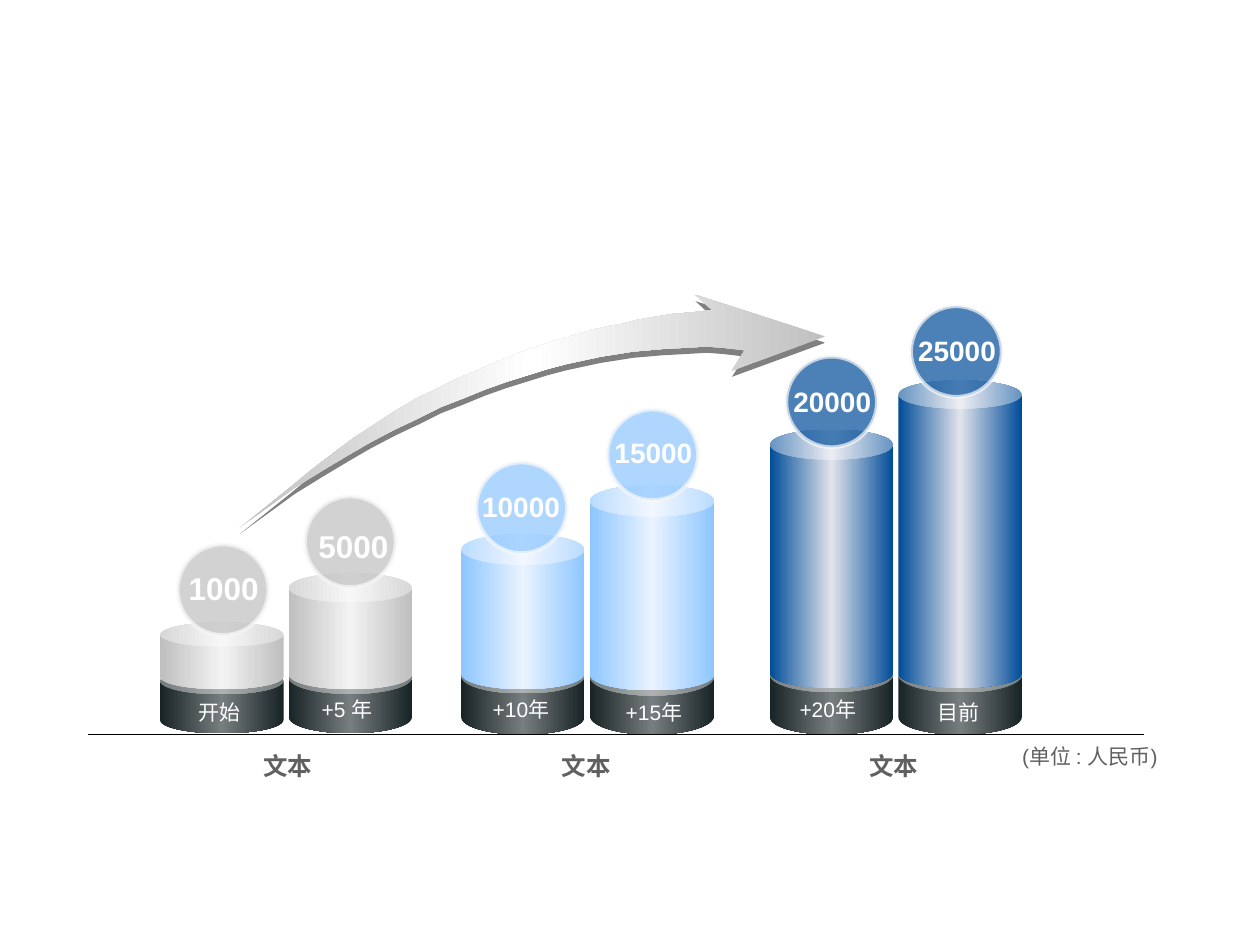
from copy import deepcopy
from lxml import etree
from pptx import Presentation
from pptx import util as u
from pptx.dml.color import RGBColor
from pptx.enum import shapes, text
from pptx.oxml.ns import qn

COLORS = {
    "white": "FFFFFF", "black": "000000", "label": "606060", "ring": "F8F8F8",
    "base": "182326", "base shine": "777E7F",
    "gray": "BFBFBF", "gray shine": "F3F3F3",
    "sky": "8DC6FF", "sky shine": "EAF3FF",
    "navy": "004C99", "navy shine": "E2E4EB",
    "arrow": "C0C0C0", "edge": "808080",
}
INK = {name: RGBColor.from_string(code) for name, code in COLORS.items()}

deck = Presentation()
deck.slide_width, deck.slide_height = u.Inches(10), u.Inches(7.5)
page = deck.slides.add_slide(deck.slide_layouts[6])


def write(words, left, top, width, height, size=12, color="white", bold=False, wrap=True):
    box = page.shapes.add_textbox(*map(u.Inches, (left, top, width, height)))
    box.text_frame.word_wrap = wrap
    box.text_frame.auto_size = text.MSO_AUTO_SIZE.SHAPE_TO_FIT_TEXT
    para = box.text_frame.paragraphs[0]
    para.alignment = text.PP_ALIGN.CENTER
    span = para.add_run()
    span.text = words
    span.font.name, span.font.size, span.font.bold = "Arial", u.Pt(size), bold
    span.font.color.rgb = INK[color]


def shade(shape, side, middle):
    shape.shadow.inherit = False
    shape.line.fill.background()
    shape.fill.gradient()
    shape.fill.gradient_angle = 0
    stops = shape.fill.gradient_stops
    stops[0].color.rgb, stops[1].color.rgb = INK[side], INK[middle]
    stops[0].position, stops[1].position = 0, 0.5
    stop_list = shape._element.spPr.find(".//" + qn("a:gsLst"))
    last = deepcopy(stop_list[0])
    last.set("pos", "100000")
    stop_list.append(last)


# left, width, base (top, height, adj), body (top, height, adj), color
columns = [
    (6.11, 0.98, (5.22, 0.61, 0.449), (3.41, 2.05, 0.243), "navy"),
    (7.13, 0.98, (5.22, 0.61, 0.452), (3.02, 2.44, 0.228), "navy"),
    (3.66, 0.98, (5.23, 0.6, 0.458), (4.24, 1.23, 0.248), "sky"),
    (4.68, 0.99, (5.22, 0.61, 0.493), (3.85, 1.63, 0.253), "sky"),
    (1.27, 0.98, (5.3, 0.52, 0.404), (4.94, 0.53, 0.363), "gray"),
    (2.29, 0.98, (5.25, 0.57, 0.452), (4.55, 0.92, 0.251), "gray"),
]
for left, width, base, body, color in columns:
    for (top, height, curve), tone in ((base, "base"), (body, color)):
        can = page.shapes.add_shape(
            shapes.MSO_SHAPE.CAN, *map(u.Inches, (left, top, width, height)))
        can.adjustments[0] = curve
        shade(can, tone, tone + " shine")

for left in (1.99, 4.36, 6.8):
    write("文本", left, 5.91, 0.59, 0.34, size=14, color="label", bold=True, wrap=False)
write("(单位 : 人民币)", 8, 5.85, 1.3, 0.3, color="label")

periods = [
    ("开始", 1.3, 5.5, 0.88), ("+5 年", 2.31, 5.48, 0.89), ("目前", 7.09, 5.5, 1.04),
    ("+10年", 3.63, 5.48, 1.01), ("+15年", 4.69, 5.5, 1), ("+20年", 6.07, 5.48, 1),
]
for words, left, top, width in periods:
    write(words, left, top, width, 0.3)

axis = page.shapes.add_connector(
    shapes.MSO_CONNECTOR.STRAIGHT, *map(u.Inches, (0.7, 5.83, 9.08, 5.83)))
axis.line.color.rgb, axis.line.width = INK["black"], u.Pt(0.75)
etree.SubElement(axis._element.spPr, qn("a:effectLst"))

# value, color, circle (left, top), text (left, top, width, height), size
badges = [
    ("1000", "gray", (1.41, 4.32), (1.38, 4.47, 0.79, 0.4), 18),
    ("5000", "gray", (2.42, 3.94), (2.4, 4.13, 0.81, 0.4), 18),
    ("10000", "sky", (3.78, 3.67), (3.66, 3.84, 0.95, 0.37), 16),
    ("15000", "sky", (4.82, 3.25), (4.71, 3.41, 0.95, 0.37), 16),
    ("20000", "navy", (6.24, 2.83), (6.13, 3, 0.95, 0.37), 16),
    ("25000", "navy", (7.23, 2.43), (7.12, 2.6, 0.95, 0.37), 16),
]
for value, color, corner, place, size in badges:
    circle = page.shapes.add_shape(
        shapes.MSO_SHAPE.OVAL, *map(u.Inches, (*corner, 0.72, 0.72)))
    circle.shadow.inherit = False
    circle.fill.solid()
    circle.fill.fore_color.rgb = INK[color]
    circle.line.color.rgb, circle.line.width = INK["ring"], u.Pt(2.25)
    for tint in circle._element.spPr.iter(qn("a:srgbClr")):
        etree.SubElement(tint, qn("a:alpha")).set("val", "70000")
    write(value, *place, size=size, bold=True)

outline = [
    (1.9, 4.19), (2.3, 3.87), (2.47, 3.73), (2.64, 3.6), (2.8, 3.48), (2.97, 3.37),
    (3.14, 3.26), (3.31, 3.16), (3.48, 3.08), (3.64, 3), (3.81, 2.93), (3.97, 2.86),
    (4.12, 2.8), (4.27, 2.75), (4.42, 2.7), (4.56, 2.66), (4.69, 2.62), (4.82, 2.59),
    (4.94, 2.57), (5.05, 2.54), (5.16, 2.52), (5.35, 2.49), (5.49, 2.48), (5.65, 2.46),
    (5.52, 2.34), (6.55, 2.67), (5.81, 2.94), (5.91, 2.78), (5.83, 2.77), (5.74, 2.76),
    (5.61, 2.75), (5.44, 2.76), (5.25, 2.77), (5.14, 2.78), (5.02, 2.79), (4.9, 2.81),
    (4.77, 2.83), (4.63, 2.86), (4.49, 2.89), (4.34, 2.93), (4.18, 2.98), (4.02, 3.03),
    (3.85, 3.09), (3.68, 3.16), (3.5, 3.23), (3.32, 3.32), (3.13, 3.41), (2.94, 3.51),
    (2.75, 3.62), (2.55, 3.74), (2.34, 3.87),
]
for drop, side, middle in ((0.05, "edge", "edge"), (0, "arrow", "white")):
    points = [(u.Inches(x), u.Inches(y + drop)) for x, y in outline]
    builder = page.shapes.build_freeform(*points[0])
    builder.add_line_segments(points[1:], close=True)
    shade(builder.convert_to_shape(), side, middle)

deck.save("out.pptx")
